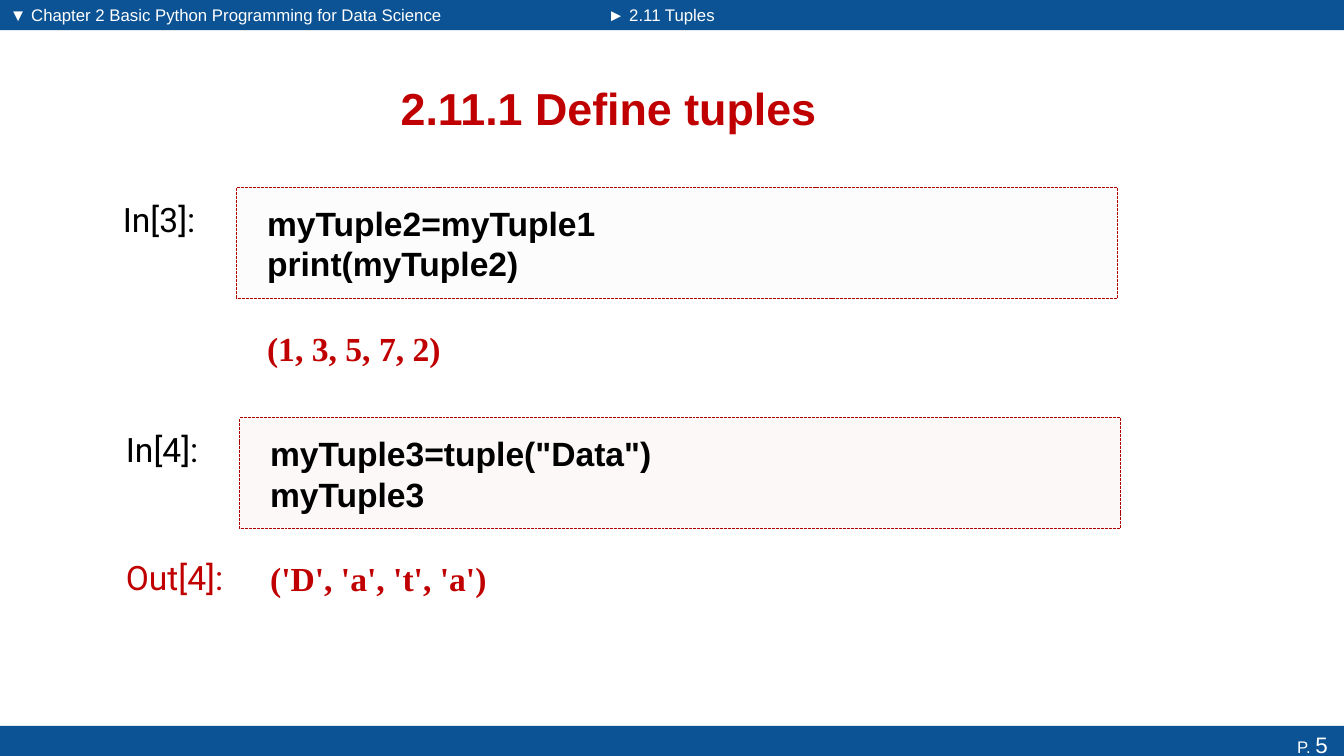
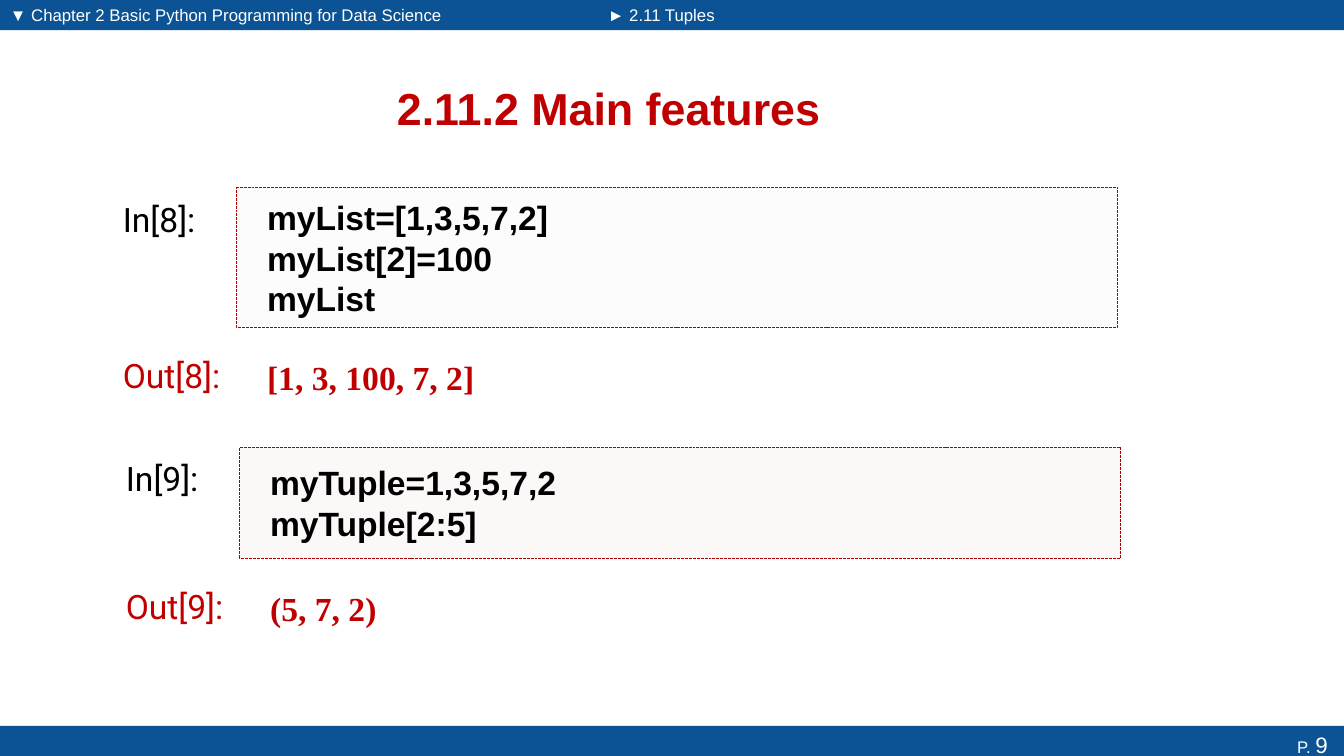
from lxml.etree import SubElement
from pptx import Presentation
from pptx.dml.color import RGBColor
from pptx.enum.dml import MSO_LINE
from pptx.enum.shapes import MSO_SHAPE as SHAPE
from pptx.enum.text import MSO_ANCHOR as ANCHOR, PP_ALIGN as ALIGN
from pptx.oxml.ns import qn
from pptx.util import Inches, Pt

COLS, ROWS = 40, 22.5
UNIT = Inches(1) / 3
BLUE, RED, DASH, BLACK, WHITE = "0B5394", "C00000", "AB0000", "000000", "FFFFFF"
TINTS = ("F1EEF4", "EDCDCB")
CODE_LEFTS = (7.05, 7.14)
CODE_WIDTH, CODE_PAD, LINE_HEIGHT = 26.22, 1.56, 0.87
FIRST_TOP, OUT_GAP, OUT_HEIGHT, CELL_GAP = 5.58, 0.5, 1.95, 1.11
LABEL_SHIFT, LABEL_DROP, LABEL_HEIGHT = 3.69, 0.18, 1.5
BAND, SPLIT = 0.9, 17.8
CHAPTER = "▼ Chapter 2 Basic Python Programming for Data Science"
SECTION = "► 2.11 Tuples"

SLIDES = [
    ("2.11.1 Define tuples", 5, [
        (3, ["myTuple2=myTuple1", "print(myTuple2)"], "(1, 3, 5, 7, 2)", False),
        (4, ['myTuple3=tuple("Data")', "myTuple3"], "('D', 'a', 't', 'a')", True),
    ]),
    ("2.11.2 Main features", 9, [
        (8, ["myList=[1,3,5,7,2]", "myList[2]=100", "myList"], "[1, 3, 100, 7, 2]", True),
        (9, ["myTuple=1,3,5,7,2", "myTuple[2:5]"], "(5, 7, 2)", True),
    ]),
]


def rgb(value):
    """Turn a hex string into a colour."""
    return RGBColor.from_string(value)


def grid(*lengths):
    """Turn grid units into slide lengths."""
    return [round(n * UNIT) for n in lengths]


def write(sp, lines, color, font="Arial", bold=False, align=ALIGN.LEFT,
          anchor=ANCHOR.MIDDLE, left=0.1, right=0.1):
    """Fill a shape with paragraphs, each a list of (text, size) runs."""
    tf = sp.text_frame
    tf.word_wrap = True
    tf.vertical_anchor = anchor
    tf.margin_left, tf.margin_right = Inches(left), Inches(right)
    for i, runs in enumerate(lines):
        p = tf.add_paragraph() if i else tf.paragraphs[0]
        p.alignment = align
        for text, size in runs:
            r = p.add_run()
            r.text = text
            r.font.name, r.font.size, r.font.bold = font, Pt(size), bold
            r.font.color.rgb = rgb(color)


def add_text(shapes, box, text, size, color, **style):
    """Add a text box holding one line."""
    sp = shapes.add_textbox(*grid(*box))
    write(sp, [[(text, size)]], color, **style)


def add_rect(shapes, box, fill):
    """Add a plain filled rectangle without outline."""
    sp = shapes.add_shape(SHAPE.RECTANGLE, *grid(*box))
    sp.shadow.inherit = False
    sp.fill.solid()
    sp.fill.fore_color.rgb = rgb(fill)
    sp.line.fill.background()
    return sp


def add_code(shapes, box, lines, tint):
    """Add a dashed, faintly tinted code box."""
    sp = add_rect(shapes, box, tint)
    color = sp.fill._xPr.find(qn("a:solidFill"))[0]
    SubElement(color, qn("a:alpha")).set("val", "13000")
    sp.line.color.rgb = rgb(DASH)
    sp.line.width = Pt(0.7)
    sp.line.dash_style = MSO_LINE.SQUARE_DOT
    write(sp, [[(line, 24)] for line in lines], BLACK, bold=True, left=0.3)


def add_cell(s, left, top, tint, number, lines, output, labelled):
    """Add a notebook cell as a group and return its bottom."""
    shapes = s.shapes.add_group_shape().shapes
    height = CODE_PAD + LINE_HEIGHT * len(lines)
    out_top = top + height + OUT_GAP
    label_left = left - LABEL_SHIFT
    labels = [("In", top, 3.33, BLACK)]
    if labelled:
        labels.append(("Out", out_top, 4.05, RED))
    for word, y, width, color in labels:
        add_text(shapes, (label_left, y + LABEL_DROP, width, LABEL_HEIGHT),
                 f"{word}[{number}]:", 24, color, font="Roboto", anchor=ANCHOR.TOP)
    add_code(shapes, (left, top, CODE_WIDTH, height), lines, tint)
    add_text(shapes, (left, out_top, CODE_WIDTH, OUT_HEIGHT), output, 24, RED,
             font="Times New Roman", bold=True, left=0.3)
    return out_top + OUT_HEIGHT


def add_frame(s, title, page):
    """Add the bands, breadcrumbs, page number and title."""
    add_rect(s.shapes, (0, 0, SPLIT, BAND), BLUE)
    footer = add_rect(s.shapes, (0, ROWS - BAND, COLS, 1.1), BLUE)
    write(footer, [[("P. ", 12), (str(page), 16)]], WHITE, align=ALIGN.RIGHT, right=0.16)
    add_rect(s.shapes, (SPLIT, 0, COLS - SPLIT, BAND), BLUE)
    for left, width, text in ((0, 14.5, CHAPTER), (SPLIT, 7.15, SECTION)):
        add_text(s.shapes, (left, 0, width, BAND), text, 12, WHITE)
    add_text(s.shapes, (2.04, 1.86, 32.16, 2.7), title, 32, RED, bold=True,
             align=ALIGN.CENTER)


def main():
    """Build the deck and save it."""
    prs = Presentation()
    prs.slide_width, prs.slide_height = grid(COLS, ROWS)
    for title, page, cells in SLIDES:
        s = prs.slides.add_slide(prs.slide_layouts[6])
        add_frame(s, title, page)
        top = FIRST_TOP
        for left, tint, cell in zip(CODE_LEFTS, TINTS, cells):
            top = add_cell(s, left, top, tint, *cell) + CELL_GAP
    prs.save("out.pptx")


if __name__ == "__main__":
    main()
